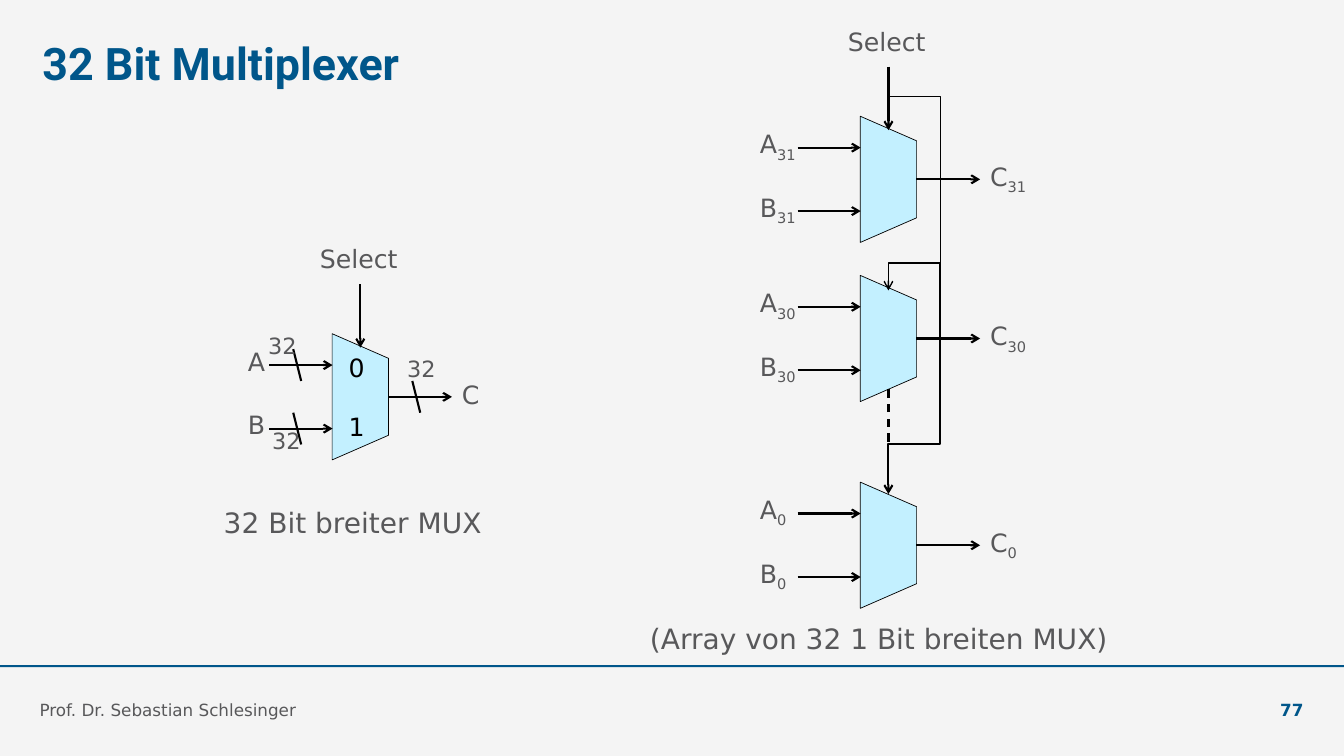
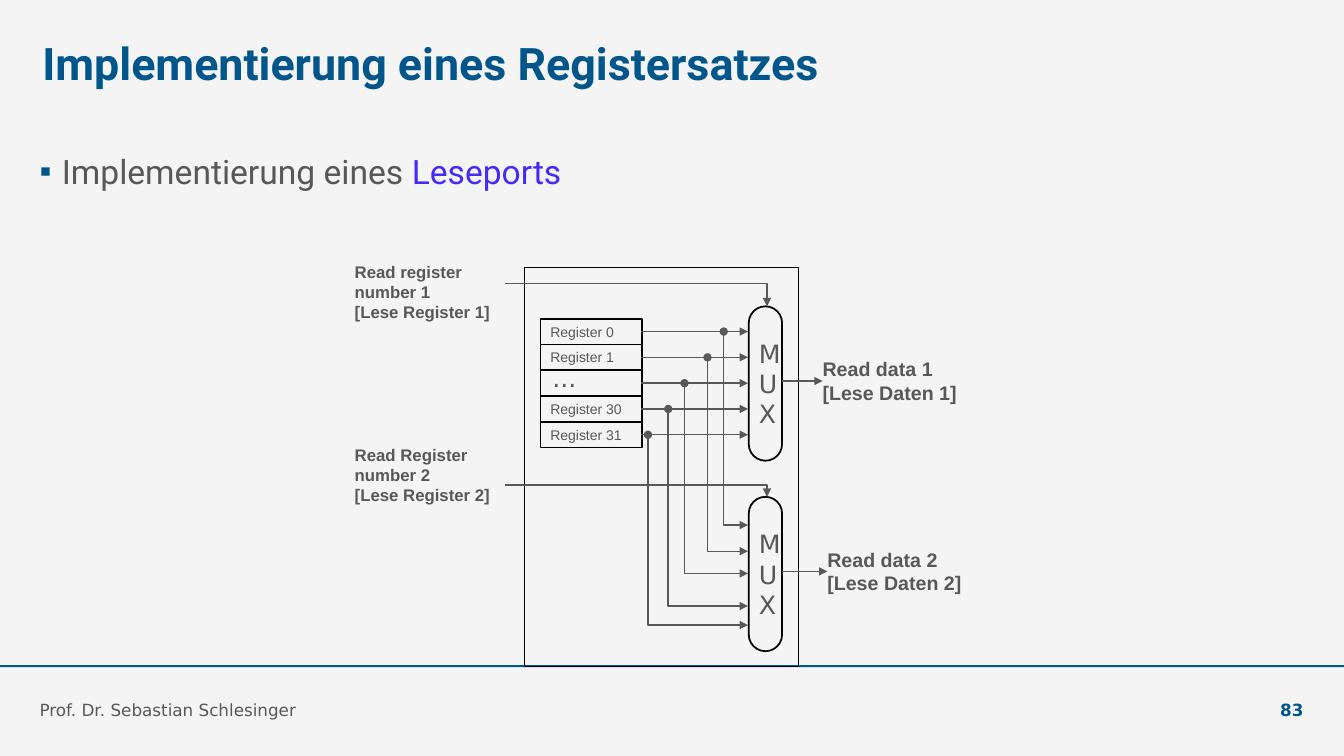
from lxml.etree import SubElement
from pptx import Presentation
from pptx.dml.color import RGBColor
from pptx.enum.dml import MSO_LINE
from pptx.enum.shapes import MSO_CONNECTOR, MSO_SHAPE
from pptx.enum.text import MSO_ANCHOR, PP_ALIGN
from pptx.oxml.ns import qn
from pptx.util import Cm, Pt

PAPER = RGBColor(0xF4, 0xF4, 0xF4)
BLUE = RGBColor(0x00, 0x56, 0x8A)
GRAY = RGBColor(0x58, 0x58, 0x5A)
BLACK = RGBColor(0, 0, 0)
PALE = RGBColor(0xC3, 0xF0, 0xFF)
VIOLET = RGBColor(0x43, 0x2B, 0xF5)
SANS, HEAD, PLAIN = "DejaVu Sans", "Roboto", "Arial"
WIDTH, HEIGHT = 33.87, 19.05


class Deck:
    """Holds the shared style and the slide being drawn."""

    def __init__(self):
        self.prs = Presentation()
        self.prs.slide_width, self.prs.slide_height = Cm(WIDTH), Cm(HEIGHT)
        fill = self.prs.slide_master.background.fill
        fill.solid()
        fill.fore_color.rgb = PAPER

    def start(self, title, number):
        """Add a slide with title, footer line, author and number."""
        slide = self.prs.slides.add_slide(self.prs.slide_layouts[5])
        self.shapes = slide.shapes
        head = self.shapes.title
        head.left, head.top, head.width, head.height = Cm(1.07), Cm(0.91), Cm(21.16), Cm(1.6)
        self.letter(head, [title], 32, BLUE, HEAD, bold=True)
        self.shape(MSO_SHAPE.RECTANGLE, 0, 16.76, WIDTH, 0.05, fill=BLUE)
        low = MSO_ANCHOR.BOTTOM
        self.text(1, 17.15, 23.4, 1, ["Prof. Dr. Sebastian Schlesinger"], 12, anchor=low)
        self.text(30.56, 17.15, 2.29, 1, [number], 12, BLUE, bold=True,
                  align=PP_ALIGN.RIGHT, anchor=low)

    def letter(self, shape, lines, size, color=GRAY, font=SANS, bold=False,
               align=PP_ALIGN.LEFT, anchor=MSO_ANCHOR.TOP, inset=0, gap=0):
        """Fill a shape with paragraphs; gap is the space between them."""
        frame = shape.text_frame
        frame.word_wrap = True
        frame.vertical_anchor = anchor
        frame.margin_left = Cm(inset)
        frame.margin_top = frame.margin_right = frame.margin_bottom = 0
        for i, line in enumerate(lines):
            par = frame.add_paragraph() if i else frame.paragraphs[0]
            par.text = line
            par.alignment = align
            if i and gap:
                par.space_before = Pt(gap)
            par.font.size, par.font.name, par.font.bold = Pt(size), font, bold
            par.font.color.rgb = color

    def text(self, x, y, w, h, lines, size, color=GRAY, font=SANS, **style):
        box = self.shapes.add_textbox(Cm(x), Cm(y), Cm(w), Cm(h))
        self.letter(box, lines, size, color, font, **style)
        return box

    def label(self, x, y, text, size=18, sub=""):
        box = self.text(x, y, 1.6, 0.8, [text], size)
        if sub:
            run = box.text_frame.paragraphs[0].add_run()
            run.text = sub
            run.font.bold = False
            box.element.xpath(".//a:rPr")[-1].set("baseline", "-25000")

    def caption(self, x, y, text, size):
        """Text centred on x."""
        self.text(x - 7, y, 14, 1, [text], size, align=PP_ALIGN.CENTER)

    def bullet(self, text, accent):
        box = self.text(1, 3.71, 31.88, 1.5, [], 24)
        par = box.text_frame.paragraphs[0]
        par.line_spacing = 1.08
        props = box.element.xpath(".//a:pPr")[0]
        props.set("marL", str(Cm(0.56)))
        props.set("indent", str(-Cm(0.56)))
        color = SubElement(props, qn("a:buClr"))
        SubElement(color, qn("a:srgbClr"), val=str(BLUE))
        SubElement(props, qn("a:buFont"), typeface=PLAIN)
        SubElement(props, qn("a:buChar"), char="▪")
        par.font.size, par.font.name = Pt(24), HEAD
        for words, tint in ((text, GRAY), (accent, VIOLET)):
            run = par.add_run()
            run.text = words
            run.font.color.rgb = tint

    def shape(self, kind, x, y, w, h, fill=None, line=None, adj=None):
        """Preset shape; line is a width in points."""
        form = self.shapes.add_shape(kind, Cm(x), Cm(y), Cm(w), Cm(h))
        form.shadow.inherit = False
        if adj is not None:
            form.adjustments[0] = adj
        if fill is None:
            form.fill.background()
        else:
            form.fill.solid()
            form.fill.fore_color.rgb = fill
        if line is None:
            form.line.fill.background()
        else:
            form.line.color.rgb, form.line.width = BLACK, Pt(line)
        return form

    def stroke(self, form, color, width, head=None, tail=None, dash=None):
        form.line.color.rgb, form.line.width = color, Pt(width)
        if dash:
            form.line.dash_style = dash
        for tag, kind in (("a:headEnd", head), ("a:tailEnd", tail)):
            if kind:
                SubElement(form.get_or_add_ln(), qn(tag), type=kind)

    def wire(self, x1, y1, x2, y2, color=BLACK, width=1.5, bend=None, **ends):
        """Line; bend gives where an elbow turns (0 at start, 1 at end)."""
        kind = MSO_CONNECTOR.STRAIGHT if bend is None else MSO_CONNECTOR.ELBOW
        link = self.shapes.add_connector(kind, Cm(x1), Cm(y1), Cm(x2), Cm(y2))
        if bend is not None:
            adjust = link.element.xpath(".//a:avLst")[0]
            SubElement(adjust, qn("a:gd"), name="adj1", fmla=f"val {bend * 100000}")
        self.stroke(link, color, width, **ends)
        SubElement(link.element.spPr, qn("a:effectLst"))

    def route(self, points, width):
        """Arrow along several corners."""
        (x, y), *rest = [(Cm(x), Cm(y)) for x, y in points]
        outline = self.shapes.build_freeform(x, y)
        outline.add_line_segments(rest, close=False)
        form = outline.convert_to_shape()
        form.shadow.inherit = False
        form.fill.background()
        self.stroke(form, BLACK, width, tail="arrow")

    def mux(self, x, y, index="", left=3.24):
        """Multiplexer centred on x, y with its inputs and output."""
        form = self.shape(MSO_SHAPE.TRAPEZOID, x - 1.59, y - 0.71, 3.18, 1.42,
                          PALE, 0.5, 0.437)
        form.rotation = 90
        for name, dy in (("A", -0.8), ("B", 0.8)):
            self.wire(x - 2.29, y + dy, x - 0.7, y + dy, tail="arrow")
            self.label(x - left, y + dy - 0.48, name, sub=index)
        self.wire(x + 0.7, y, x + 2.31, y, tail="arrow")
        self.label(x + 2.56, y - 0.45, "C", sub=index)
        return form

    def select(self, x, y):
        """Select input of the multiplexer centred on x, y."""
        self.wire(x, y - 2.84, x, y - 1.24, tail="arrow")
        self.caption(x - 0.04, y - 3.86, "Select", 18)

    def link(self, *ends, **style):
        self.wire(*ends, GRAY, 1, tail="triangle", **style)


def draw_mux(deck):
    deck.start("32 Bit Multiplexer", "77")
    x, y = 9.08, 10
    form = deck.mux(x, y, left=2.83)
    deck.letter(form, "01", 18, BLACK, align=PP_ALIGN.CENTER,
                anchor=MSO_ANCHOR.MIDDLE, gap=21)
    form.element.xpath(".//a:bodyPr")[0].set("vert", "vert270")
    deck.select(x, y)
    for tick, mid, left, top in ((7.39, 9.2, 6.76, 8.36), (10.39, 10, 10.26, 8.96),
                                 (7.39, 10.8, 6.86, 10.76)):
        deck.wire(tick, mid - 0.4, tick + 0.2, mid + 0.4)
        deck.label(left, top, "32", 16)
    deck.caption(8.89, 12.75, "32 Bit breiter MUX", 20)

    x, rail = 22.39, 23.7
    for index, y in (("31", 4.52), ("30", 8.53), ("0", 13.74)):
        deck.mux(x, y, index)
    deck.select(x, 4.52)
    deck.route([(x, 2.44), (rail, 2.44), (rail, 6.63), (x, 6.63), (x, 7.32)], 1)
    deck.route([(rail, 6.63), (rail, 11.18), (x, 11.18), (x, 12.45)], 1.5)
    deck.wire(x, 11.13, x, 9.8, dash=MSO_LINE.DASH)
    deck.caption(22.15, 15.65, "(Array von 32 1 Bit breiten MUX)", 20)


def draw_ports(deck):
    deck.start("Implementierung eines Registersatzes", "83")
    deck.bullet("Implementierung eines ", "Leseports")
    deck.shape(MSO_SHAPE.RECTANGLE, 13.21, 6.73, 6.91, 10.06, line=0.63)
    mid = MSO_ANCHOR.MIDDLE
    names = ("Register 0", "Register 1", "", "Register 30", "Register 31")
    taps = ((18.24, 13.23), (17.83, 13.89), (17.25, 14.45), (16.84, 15.27), (16.33, 15.75))
    step = 0.65
    for i, (name, (x, end)) in enumerate(zip(names, taps)):
        top = 8.03 + i * step
        y = top + step / 2
        cell = deck.shape(MSO_SHAPE.RECTANGLE, 13.62, top, 2.57, step, line=1.25)
        if name:
            deck.letter(cell, [name], 10, font=PLAIN, anchor=mid, inset=0.25)
        deck.link(16.15, y, 18.85, y)
        deck.link(x, y, 18.85, end, bend=0, head="oval")
    deck.label(13.92, 9.14, "...")

    ports = (
        (7.72, 7.14, 6.6, "Read register number 1", "[Lese Register 1]",
         20.73, "Read data 1", "[Lese Daten 1]"),
        (12.52, 12.22, 11.2, "Read Register number 2", "[Lese Register 2]",
         20.85, "Read data 2", "[Lese Daten 2]"),
    )
    for top, pick, high, ask, frage, out, data, daten in ports:
        pill = deck.shape(MSO_SHAPE.ROUNDED_RECTANGLE, 18.87, top, 0.84, 3.89,
                          line=1.25, adj=0.5)
        deck.letter(pill, "MUX", 18, anchor=mid, inset=0.13)
        deck.link(12.73, pick, 19.33, top, bend=1)
        deck.link(19.7, top + 1.88, out, top + 1.88)
        deck.text(8.94, high, 3.81, 1.55, [ask, frage], 12, font=PLAIN, bold=True)
        deck.text(out, top + 1.28, 4.6, 1.2, [data, daten], 14, font=PLAIN, bold=True)


def main():
    deck = Deck()
    draw_mux(deck)
    draw_ports(deck)
    deck.prs.save("out.pptx")


if __name__ == "__main__":
    main()
